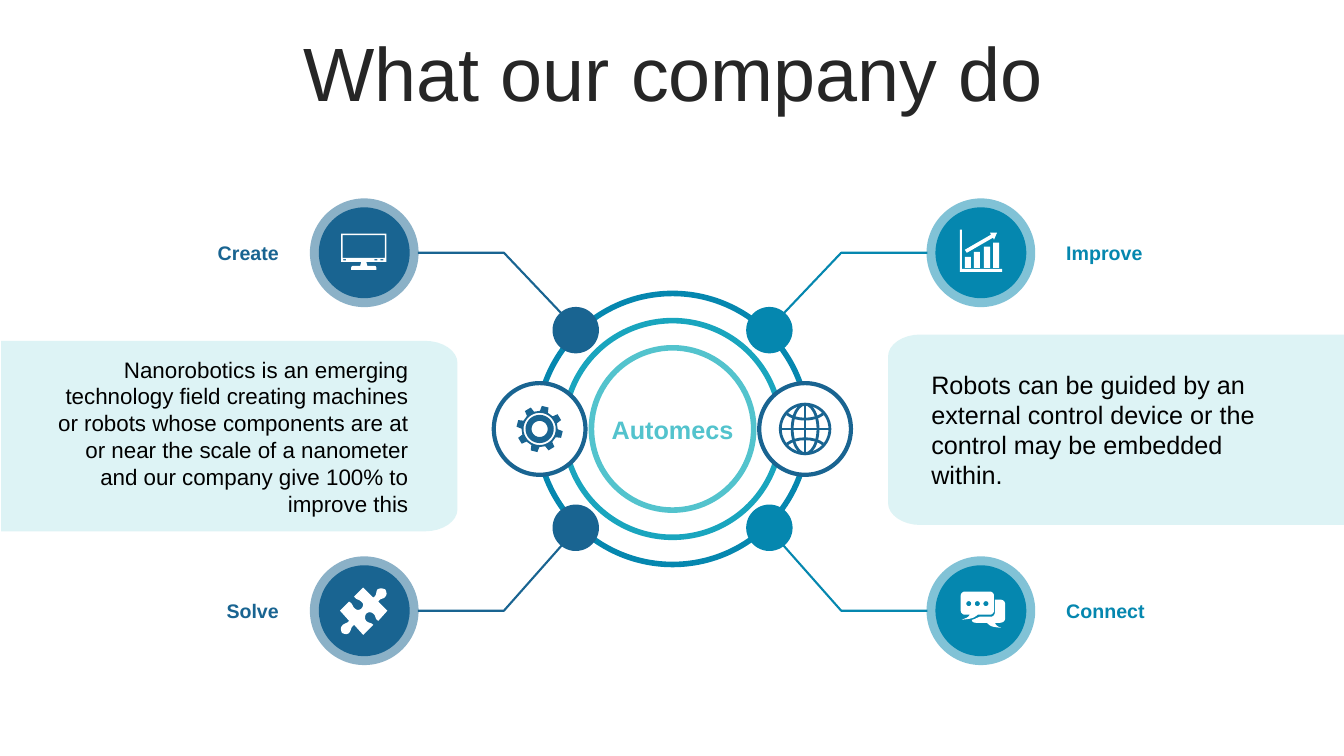
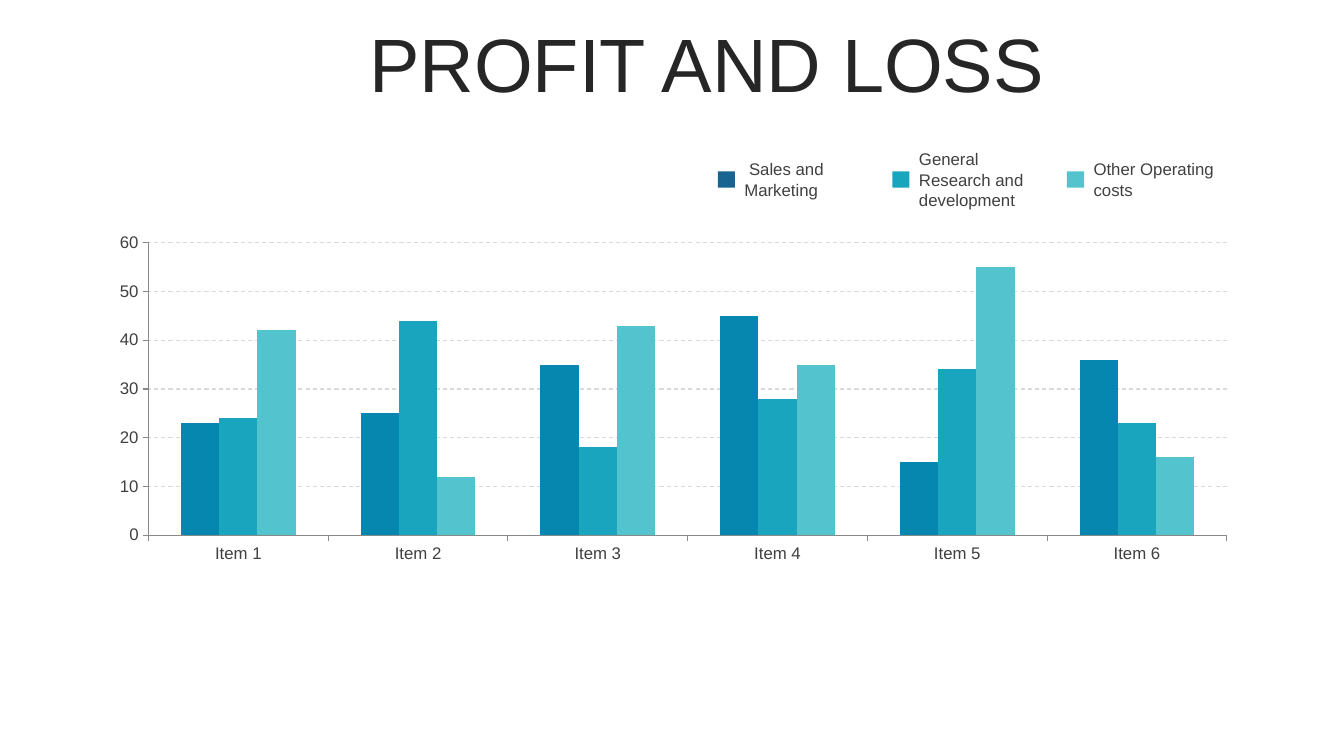
import math

import lxml.etree
import pptx
import pptx.chart.data
import pptx.dml.color
import pptx.enum.chart
import pptx.enum.dml
import pptx.enum.shapes
import pptx.enum.text
import pptx.oxml.ns
import pptx.util

Cm = pptx.util.Cm
Pt = pptx.util.Pt
ALIGN = pptx.enum.text.PP_ALIGN
ANCHOR = pptx.enum.text.MSO_ANCHOR
SHAPE = pptx.enum.shapes.MSO_SHAPE
TICK = pptx.enum.chart.XL_TICK_MARK

NAVY, BLUE, TEAL, AQUA = "196491", "0587AF", "19A5BE", "53C3CD"
PALE, WHITE, BLACK = "DDF3F5", "FFFFFF", "000000"
INK, GREY, AXIS, GRID_LINE = "262626", "404040", "898989", "D9D9D9"
ICON_STEP = 0.0254
CENTRE_X, CENTRE_Y = 16.95, 10.81
ROWS = (6.37, 15.39)


def color(hex_value):
    return pptx.dml.color.RGBColor.from_string(hex_value)


def assign(target, values):
    for name, value in values.items():
        setattr(target, name, value)


def flatten(contour, steps=8):
    """Turn points and six-number Bezier segments into points only."""
    points = []
    for item in contour:
        if len(item) == 2:
            points.append(item)
            continue
        x0, y0 = points[-1]
        x1, y1, x2, y2, x3, y3 = item
        for step in range(1, steps + 1):
            t = step / steps
            u = 1 - t
            weights = (u ** 3, 3 * u * u * t, 3 * u * t * t, t ** 3)
            points.append((sum(w * x for w, x in zip(weights, (x0, x1, x2, x3))),
                           sum(w * y for w, y in zip(weights, (y0, y1, y2, y3)))))
    return points


def polar(radius, degrees, x=0, y=0):
    angle = math.radians(degrees)
    return x + radius * math.cos(angle), y + radius * math.sin(angle)


def circle(radius, x=0, y=0):
    return [polar(radius, degrees, x, y) for degrees in range(0, 360, 10)]


def rectangle(left, top, right, bottom):
    return [(left, top), (right, top), (right, bottom), (left, bottom)]


def gear(teeth=8, first=-76):
    corners = ((18, -13), (23, -8.5), (23, 8.5), (18, 13))
    rim = [polar(radius, first + tooth * 360 / teeth + turn)
           for tooth in range(teeth) for radius, turn in corners]
    return [rim, circle(16), circle(14), circle(8)]


MONITOR = [
    [(-23, -19), (22, -19), (22, 9), (2, 9), (3, 13), (10, 13),
     (11, 13, 12, 14, 12, 15), (12, 17), (-13, 17), (-13, 15),
     (-13, 14, -12, 13, -11, 13), (-4, 13), (-3, 9), (-23, 9)],
    rectangle(-21.5, -17.5, 20.5, 5),
    *[rectangle(left, 6.3, left + 3, 7.5) for left in (-21, 10, 16)],
]
GROWTH = [
    *[rectangle(left, top, left + 6, 15)
      for left, top in ((-16, 4), (-7, -1), (3, -6), (12, -10))],
    [(9, -20), (16, -20), (13, -13), (12, -15), (-14, 0), (-16, -3), (10, -18)],
    [(-21, -23), (-19, -23), (-19, 16), (21, 16), (21, 19), (-21, 19)],
]
PUZZLE = [[
    (21, -21), (22, -19, 23, -16, 21, -14), (19, -11, 16, -13, 14, -9),
    (23, 0), (14, 10), (10, 8, 12, 5, 9, 3), (7, 1, 4, 1, 2, 3),
    (1, 4, 0, 8, 2, 10), (5, 13, 6, 11, 9, 14), (-1, 24), (-10, 14),
    (-14, 17, -12, 18, -15, 22), (-17, 24, -20, 23, -22, 22),
    (-23, 20, -24, 17, -22, 15), (-20, 12, -17, 13, -15, 10),
    (-24, 0), (-15, -9), (-11, -7, -12, -4, -9, -2), (-7, 0, -4, -1, -3, -2),
    (-1, -4, 0, -7, -3, -9), (-6, -12, -7, -10, -10, -14), (-1, -23),
    (9, -13), (13, -16, 11, -17, 13, -21), (16, -23, 19, -22, 21, -21),
]]
CHAT = [
    [(-16, -19), (9, -19), (11, -19, 13, -17, 13, -15), (13, 0),
     (13, 2, 11, 4, 9, 4), (-3, 4), (-8, 8, -10, 8, -19, 9),
     (-14, 7, -13, 7, -11, 4), (-16, 4), (-18, 4, -20, 2, -20, 0),
     (-20, -15), (-20, -17, -18, -19, -16, -19)],
    *[circle(2.5, x, -7) for x in (-12, -3.5, 5)],
    [(14, -11), (19, -11), (22, -11, 24, -9, 24, -7), (24, 8),
     (24, 10, 22, 12, 19, 12), (14, 12), (15, 14, 15, 15, 20, 17),
     (11, 16, 10, 16, 6, 12), (-5, 12), (-7, 12, -9, 11, -9, 9),
     (-7, 9, -4, 7, -1, 6), (10, 6), (12, 6, 14, 4, 14, 1)],
]


class Deck:
    font = "Arial"

    def __init__(self):
        self.presentation = pptx.Presentation()
        assign(self.presentation, {"slide_width": Cm(33.87), "slide_height": Cm(19.05)})

    def add_slide(self, title, left, top):
        layout = self.presentation.slide_layouts[5]
        self.slide = self.presentation.slides.add_slide(layout)
        self.shapes = self.slide.shapes
        shape = self.shapes.title
        assign(shape, {"left": Cm(left), "top": Cm(top), "width": Cm(32.16), "height": Cm(2)})
        self.set_text(shape, title, 54, INK, align=ALIGN.CENTER, line_spacing=0.9)

    def style_font(self, font, size, hex_value, bold=False):
        assign(font, {"name": self.font, "size": Pt(size), "bold": bold})
        font.color.rgb = color(hex_value)

    def set_text(self, shape, text, size, hex_value, bold=False, align=ALIGN.LEFT,
                 anchor=ANCHOR.MIDDLE, line_spacing=1.0):
        frame = shape.text_frame
        assign(frame, {"text": text, "word_wrap": True, "vertical_anchor": anchor,
                       "auto_size": pptx.enum.text.MSO_AUTO_SIZE.NONE})
        paragraph = frame.paragraphs[0]
        assign(paragraph, {"alignment": align, "line_spacing": line_spacing})
        self.style_font(paragraph.runs[0].font, size, hex_value, bold)

    def text(self, text, left, top, width, height, size, hex_value, **formats):
        box = self.shapes.add_textbox(Cm(left), Cm(top), Cm(width), Cm(height))
        self.set_text(box, text, size, hex_value, **formats)

    def paint(self, shape, fill=None, line=None, weight=1, opacity=None):
        shape.shadow.inherit = False
        if fill:
            shape.fill.solid()
            shape.fill.fore_color.rgb = color(fill)
        else:
            shape.fill.background()
        if line:
            shape.line.color.rgb = color(line)
            shape.line.width = Pt(weight)
        else:
            shape.line.fill.background()
        if opacity:
            value = next(shape.element.spPr.iter(pptx.oxml.ns.qn("a:srgbClr")))
            alpha = lxml.etree.SubElement(value, pptx.oxml.ns.qn("a:alpha"))
            alpha.set("val", str(opacity * 1000))

    def box(self, left, top, width, height, fill):
        shape = self.shapes.add_shape(SHAPE.RECTANGLE, Cm(left), Cm(top), Cm(width), Cm(height))
        self.paint(shape, fill)

    def ellipse(self, x, y, width, height=None, **paint):
        """Draw an ellipse, or a circle without a height, around a centre."""
        height = height or width
        shape = self.shapes.add_shape(SHAPE.OVAL, Cm(x - width / 2), Cm(y - height / 2),
                                      Cm(width), Cm(height))
        self.paint(shape, **paint)

    def outline(self, contours, x=0, y=0, step=1, close=True, **paint):
        """Draw contours given in steps of so many centimetres from an origin."""
        builder = None
        for contour in contours:
            points = [(Cm(x + a * step), Cm(y + b * step)) for a, b in flatten(contour)]
            if builder is None:
                builder = self.shapes.build_freeform(*points[0])
            else:
                builder.move_to(*points[0])
            builder.add_line_segments(points[1:], close=close)
        self.paint(builder.convert_to_shape(), **paint)

    def icon(self, contours, x, y, fill):
        self.outline(contours, x, y, ICON_STEP, fill=fill)

    def globe(self, x, y, hex_value):
        stroke = {"line": hex_value, "weight": 2}
        self.ellipse(x, y, 1.25, **stroke)
        self.ellipse(x, y, 0.65, 1.25, **stroke)
        lines = [[(0, -25), (0, 25)], [(-25, 0), (25, 0)]]
        lines += [[(-18, side * 15), (-9, side * 8, 9, side * 8, 18, side * 15)]
                  for side in (-1, 1)]
        self.outline(lines, x, y, ICON_STEP, close=False, **stroke)

    def panel(self, edge, inner, top, height=4.8):
        """Draw a band from a slide edge with rounded inner corners."""
        bottom = top + height
        turn = 0.82 if inner < edge else -0.82
        near = inner + turn * 0.45
        self.outline([[(edge, top), (inner + turn, top),
                       (near, top, inner, top + 0.25, inner, top + 0.56),
                       (inner, bottom - 0.56),
                       (inner, bottom - 0.25, near, bottom, inner + turn, bottom),
                       (edge, bottom)]], fill=PALE)

    def column_chart(self, categories, series, left, top, width, height):
        data = pptx.chart.data.CategoryChartData()
        data.categories = categories
        for name, values, _ in series:
            data.add_series(name, values)
        chart = self.shapes.add_chart(pptx.enum.chart.XL_CHART_TYPE.COLUMN_CLUSTERED,
                                      Cm(left), Cm(top), Cm(width), Cm(height), data).chart
        assign(chart, {"has_legend": False, "has_title": False})
        self.style_font(chart.font, 18, BLACK)
        plot = chart.plots[0]
        assign(plot, {"gap_width": 170, "overlap": 0, "vary_by_categories": False})
        for bars, (_, _, fill) in zip(plot.series, series):
            bars.format.fill.solid()
            bars.format.fill.fore_color.rgb = color(fill)
        for axis in (chart.category_axis, chart.value_axis):
            assign(axis, {"major_tick_mark": TICK.OUTSIDE, "minor_tick_mark": TICK.NONE})
            self.style_font(axis.tick_labels.font, 12, GREY)
            axis.format.line.color.rgb = color(AXIS)
        assign(chart.value_axis, {"minimum_scale": 0, "maximum_scale": 60, "major_unit": 10,
                                  "has_major_gridlines": True})
        grid = chart.value_axis.major_gridlines.format.line
        grid.color.rgb = color(GRID_LINE)
        assign(grid, {"width": Pt(0.75), "dash_style": pptx.enum.dml.MSO_LINE.DASH})


def add_company_slide(deck):
    deck.add_slide("What our company do", 0.89, 0.94)
    topics = [
        (-1, 0, "Create", MONITOR), (1, 0, "Improve", GROWTH),
        (-1, 1, "Solve", PUZZLE), (1, 1, "Connect", CHAT),
    ]
    side_color = {-1: NAVY, 1: BLUE}
    node_rows = (CENTRE_Y - 2.49, CENTRE_Y + 2.49)
    for side, row, _, _ in topics:
        bend = [(CENTRE_X + side * 2.4, node_rows[row]),
                (CENTRE_X + side * 4.25, ROWS[row]), (CENTRE_X + side * 6.42, ROWS[row])]
        deck.outline([bend], close=False, line=side_color[side], weight=1.5)
    for diameter, line in ((6.83, BLUE), (5.46, TEAL), (4.09, AQUA)):
        deck.ellipse(CENTRE_X, CENTRE_Y, diameter, line=line, weight=4)
    for side, row, label, icon in topics:
        fill = side_color[side]
        x, y = CENTRE_X + side * 7.77, ROWS[row]
        deck.ellipse(CENTRE_X + side * 2.44, node_rows[row], 1.17, fill=fill)
        deck.ellipse(x, y, 2.74, fill=fill, opacity=50)
        deck.ellipse(x, y, 2.29, fill=fill)
        deck.icon(icon, x, y, WHITE)
        deck.text(label, CENTRE_X + side * 11.55 - 1.88, y - 0.43, 3.76, 0.86, 14, fill,
                  bold=True, align=ALIGN.LEFT if side > 0 else ALIGN.RIGHT)
    gear_x, globe_x = CENTRE_X - 3.35, CENTRE_X + 3.34
    for x in (gear_x, globe_x):
        deck.ellipse(x, CENTRE_Y, 2.31, fill=WHITE, line=NAVY, weight=3)
    deck.icon(gear(), gear_x, CENTRE_Y, NAVY)
    deck.globe(globe_x, CENTRE_Y, NAVY)
    deck.text("Automecs", CENTRE_X - 1.88, CENTRE_Y - 0.5, 3.76, 1, 18, AQUA,
              bold=True, align=ALIGN.CENTER)
    deck.panel(0.03, 11.53, 8.59)
    deck.panel(33.87, 22.38, 8.43)
    deck.text("Nanorobotics is an emerging technology field creating machines or robots whose "
              "components are at or near the scale of a nanometer and our company give 100% to "
              "improve this", 1.12, 8.84, 9.42, 4.37, 16, BLACK,
              align=ALIGN.RIGHT, anchor=ANCHOR.TOP)
    deck.text("Robots can be guided by an external control device or the control may be "
              "embedded within.", 23.22, 9.17, 8.86, 3.33, 18, BLACK, anchor=ANCHOR.TOP)


def add_profit_slide(deck):
    deck.add_slide("PROFIT AND LOSS", 1.73, 0.71)
    deck.column_chart(
        [f"Item {number}" for number in range(1, 7)],
        [("Series 1", (23, 25, 35, 45, 15, 36), BLUE),
         ("Series 2", (24, 44, 18, 28, 34, 23), TEAL),
         ("Series 3", (42, 12, 43, 35, 55, 16), AQUA)],
        2.44, 5.72, 29.06, 8.64)
    legend = [(" Sales and Marketing", NAVY), ("General Research and development", TEAL),
              ("Other Operating costs", AQUA)]
    for index, (label, fill) in enumerate(legend):
        left = 18.09 + index * 4.4
        deck.box(left, 4.32, 0.43, 0.41, fill)
        deck.text(label, left + 0.42, 3.62, 3.63, 1.8, 12, GREY)


def main():
    deck = Deck()
    add_company_slide(deck)
    add_profit_slide(deck)
    deck.presentation.save("out.pptx")


if __name__ == "__main__":
    main()
